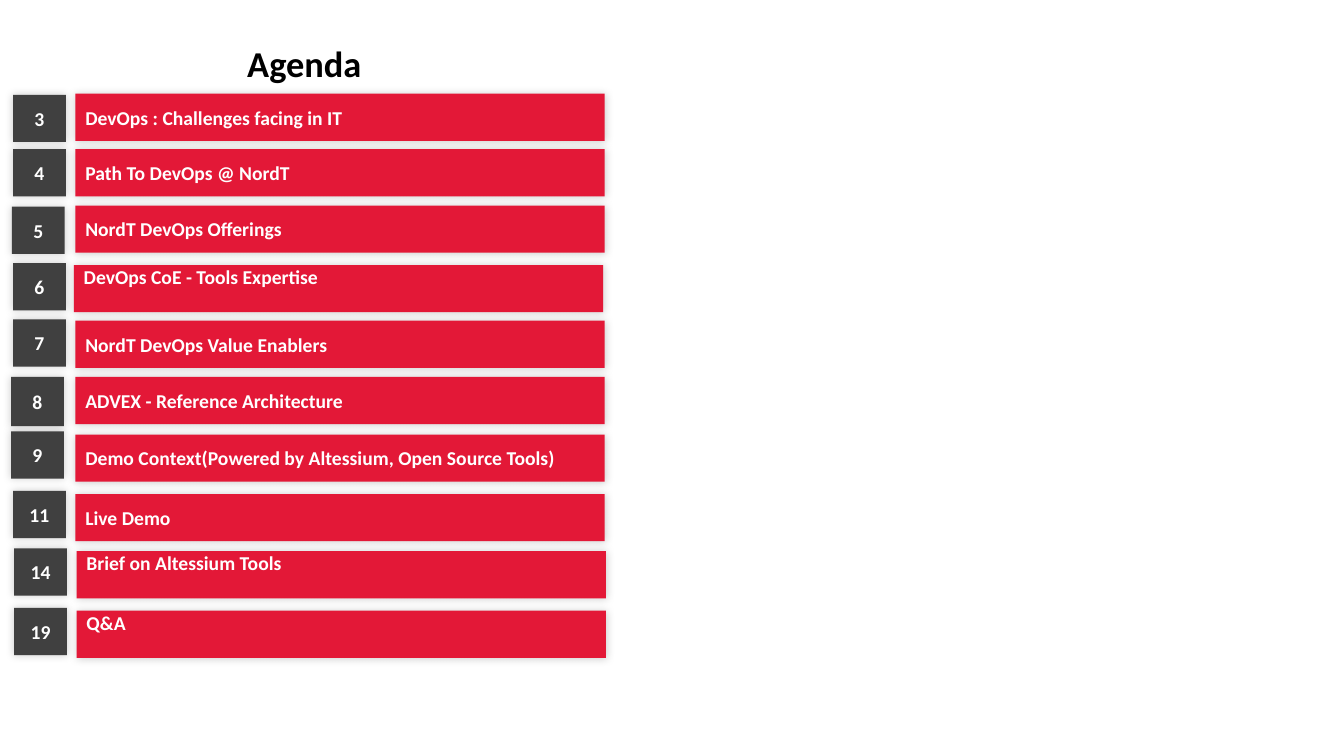
from dataclasses import dataclass

from lxml.etree import SubElement
from pptx import Presentation
from pptx.dml.color import RGBColor
from pptx.enum.shapes import MSO_SHAPE
from pptx.enum.text import MSO_ANCHOR, PP_ALIGN
from pptx.oxml.ns import qn
from pptx.shapes.autoshape import Shape
from pptx.slide import Slide
from pptx.text.text import TextFrame
from pptx.util import Cm, Pt

RED = RGBColor(0xE3, 0x18, 0x37)
GRAY = RGBColor(0x40, 0x40, 0x40)
WHITE = RGBColor(0xFF, 0xFF, 0xFF)
BLACK = RGBColor(0x00, 0x00, 0x00)

FONT = "Calibri"
BAR_WIDTH = 13.34
NUMBER_WIDTH = 1.33
ROW_HEIGHT = 1.19


@dataclass(frozen=True)
class AgendaItem:
    """One agenda row; lengths are in centimetres."""

    page: int
    topic: str
    number_top: float
    bar_top: float
    number_left: float = 0.33
    bar_left: float = 1.9
    number_height: float = ROW_HEIGHT
    anchor: MSO_ANCHOR = MSO_ANCHOR.MIDDLE


AGENDA = [
    AgendaItem(3, "DevOps : Challenges facing in IT", 2.39, 2.36),
    AgendaItem(4, "Path To DevOps @ NordT", 3.76, 3.76),
    AgendaItem(5, "NordT DevOps Offerings", 5.21, 5.18, number_left=0.3),
    AgendaItem(6, "DevOps CoE - Tools Expertise", 6.63, 6.68, bar_left=1.86,
               anchor=MSO_ANCHOR.TOP),
    AgendaItem(7, "NordT DevOps Value Enablers", 8.05, 8.08),
    AgendaItem(8, "ADVEX - Reference Architecture", 9.5, 9.5, number_left=0.28,
               number_height=1.24),
    AgendaItem(9, "Demo Context(Powered by Altessium, Open Source Tools)", 10.87, 10.95,
               number_left=0.28),
    AgendaItem(11, "Live Demo", 12.37, 12.45),
    AgendaItem(14, "Brief on Altessium Tools", 13.82, 13.89, 0.36, 1.93,
               anchor=MSO_ANCHOR.TOP),
    AgendaItem(19, "Q&A", 15.32, 15.39, 0.36, 1.93, anchor=MSO_ANCHOR.TOP),
]


def write_text(frame: TextFrame, text: str, size: int, color: RGBColor,
               alignment: PP_ALIGN) -> None:
    frame.word_wrap = True
    paragraph = frame.paragraphs[0]
    paragraph.text = text
    paragraph.alignment = alignment
    paragraph.font.name = FONT
    paragraph.font.size = Pt(size)
    paragraph.font.bold = True
    paragraph.font.color.rgb = color


def add_soft_shadow(shape: Shape) -> None:
    """Surround the shape with a faint black blur."""
    shape.shadow.inherit = False
    effects = shape.element.spPr.find(qn("a:effectLst"))
    shadow = SubElement(effects, qn("a:outerShdw"), blurRad=str(Pt(6)), dist="0",
                        dir=str(315 * 60000), algn="ctr", rotWithShape="0")
    color = SubElement(shadow, qn("a:srgbClr"), val=str(BLACK))
    SubElement(color, qn("a:alpha"), val="20000")


def add_block(slide: Slide, left: float, top: float, width: float, height: float,
              fill: RGBColor, text: str, alignment: PP_ALIGN, anchor: MSO_ANCHOR) -> None:
    shape = slide.shapes.add_shape(MSO_SHAPE.RECTANGLE, Cm(left), Cm(top),
                                   Cm(width), Cm(height))
    shape.fill.solid()
    shape.fill.fore_color.rgb = fill
    shape.line.fill.background()
    add_soft_shadow(shape)
    frame = shape.text_frame
    frame.margin_top = frame.margin_bottom = 0
    frame.vertical_anchor = anchor
    write_text(frame, text, 14, WHITE, alignment)


def add_agenda_item(slide: Slide, item: AgendaItem) -> None:
    add_block(slide, item.number_left, item.number_top, NUMBER_WIDTH, item.number_height,
              GRAY, str(item.page), PP_ALIGN.CENTER, MSO_ANCHOR.MIDDLE)
    add_block(slide, item.bar_left, item.bar_top, BAR_WIDTH, ROW_HEIGHT,
              RED, item.topic, PP_ALIGN.LEFT, item.anchor)


def main() -> None:
    presentation = Presentation()
    presentation.slide_width = Cm(33.87)
    presentation.slide_height = Cm(19.05)
    slide = presentation.slides.add_slide(presentation.slide_layouts[6])

    title = slide.shapes.add_textbox(Cm(-0.05), Cm(0.91), Cm(15.24), Cm(1.37))
    write_text(title.text_frame, " Agenda", 26, BLACK, PP_ALIGN.CENTER)
    for item in AGENDA:
        add_agenda_item(slide, item)

    presentation.save("out.pptx")


if __name__ == "__main__":
    main()
